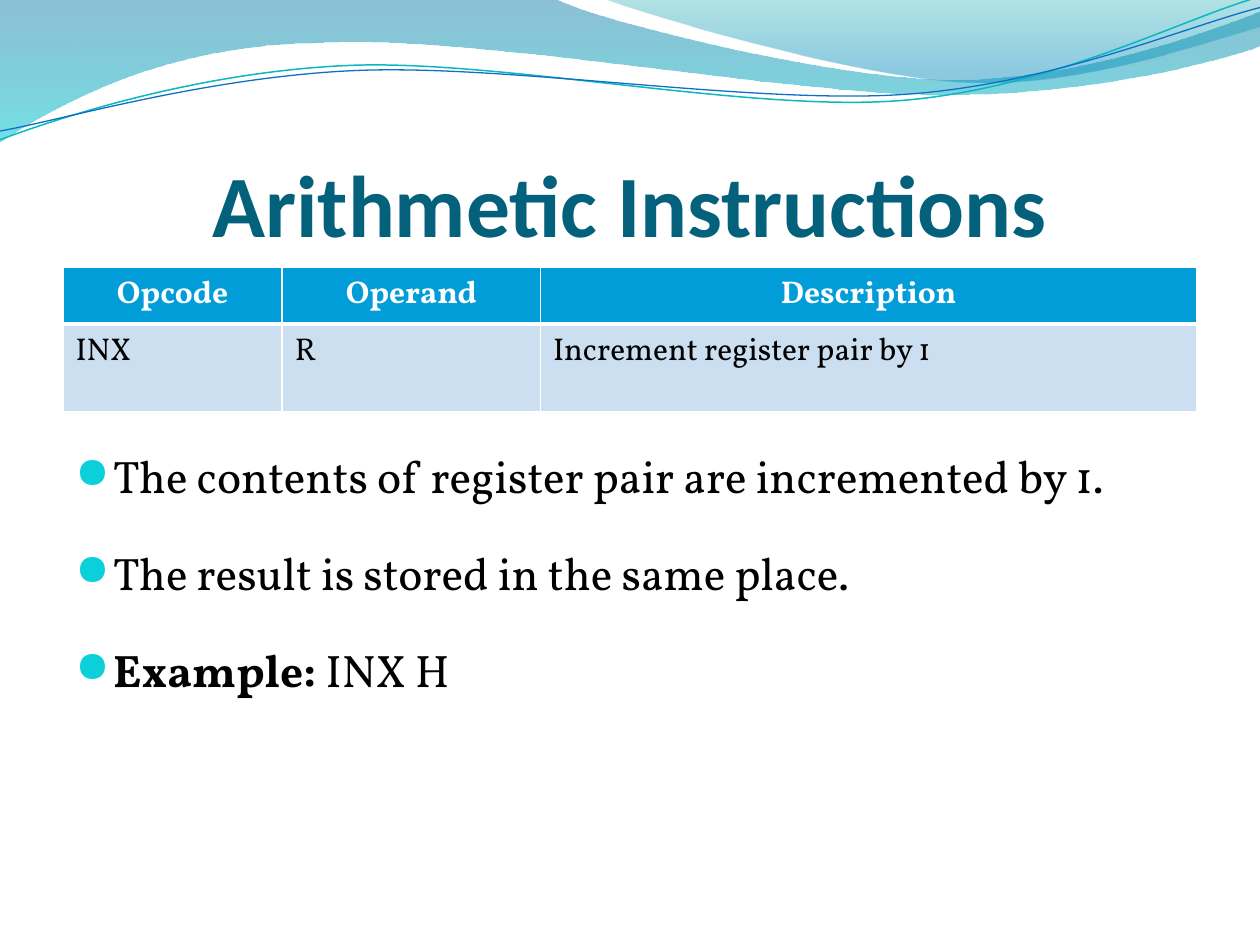
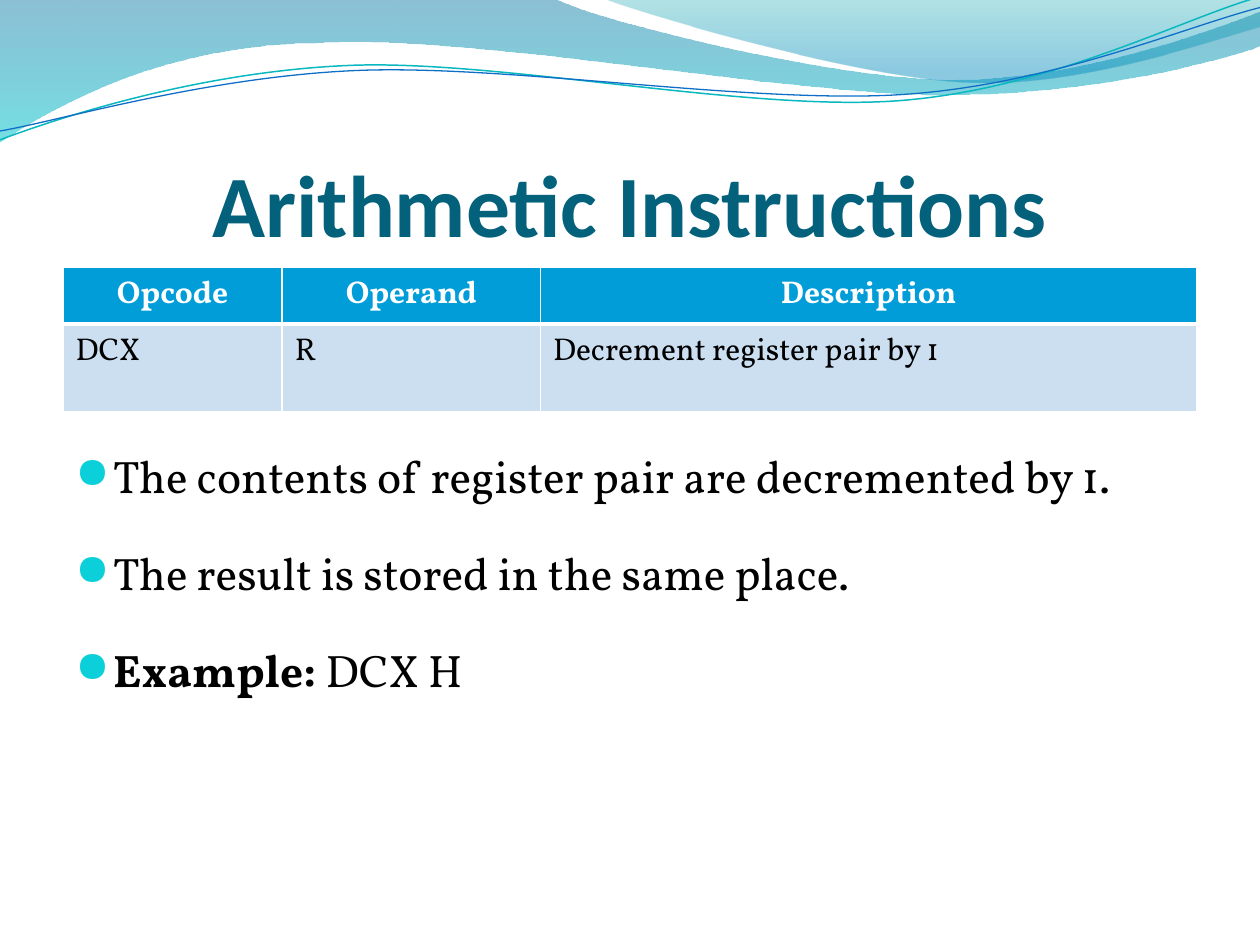
from dataclasses import dataclass

from lxml import etree
from pptx import Presentation
from pptx.dml.color import RGBColor
from pptx.enum import text
from pptx.oxml import ns
from pptx.util import Inches, Pt


@dataclass(frozen=True)
class Theme:
    title_font: str = "Calibri"
    body_font: str = "Vollkorn"
    bullet_font: str = "OpenSymbol"
    title_size: float = 50
    body_size: float = 26
    table_size: float = 18
    title: str = "04617B"
    ink: str = "000000"
    white: str = "FFFFFF"
    header: str = "009DD9"
    row: str = "CCDFF1"
    bullet: str = "0BD0D9"


THEME = Theme()

# Header waves: a start point, then points (2 values) or Bezier curves (6 values), in inches.
# Gradient stops are (position, colour, opacity %), from top to bottom.
WAVE_BANDS = [
    ([(0, -0.01), (4.4, -0.01),
      (4.76, 0.17, 6.64, 0.63, 7.58, 0.63), (8.53, 0.63, 9.58, 0.26, 10, 0.09),
      (10.01, 0.36),
      (9.83, 0.44, 8.7, 0.76, 7.46, 0.75), (6.22, 0.75, 3.82, 0.28, 2.57, 0.34),
      (1.29, 0.35, 0.46, 0.83, -0.01, 1.13), (0, -0.01)],
     [(0, "0074A1", 45), (1, "00C6CF", 55)]),
    ([(4.79, -0.01),
      (5.09, 0.11, 6.82, 0.62, 7.69, 0.65), (8.56, 0.69, 9.61, 0.32, 10, 0.21),
      (10, 0), (4.79, -0.01)],
     [(0, "00A1A9", 30), (0.8, "008BBF", 45)]),
]
WAVE_LINES = [
    ([(0, 1.11), (0.48, 0.93, 1.58, 0.57, 2.77, 0.52),
      (3.95, 0.47, 5.93, 0.89, 7.13, 0.8), (8.33, 0.71, 9.38, 0.15, 9.98, -0.02)],
     "0AB8BF", 0.85),
    ([(0, 1.04), (0.47, 0.96, 1.64, 0.61, 2.83, 0.56),
      (4.03, 0.51, 5.97, 0.83, 7.17, 0.75), (8.36, 0.67, 9.41, 0.21, 10, 0.06)],
     "0F6FC6", 0.75),
]

TITLE = "Arithmetic Instructions"
HEADINGS = ["Opcode", "Operand", "Description"]
# Opcode and the verb that describes it
INSTRUCTIONS = [("INX", "Increment"), ("DCX", "Decrement")]


def rgb(value):
    return RGBColor.from_string(value)


def sub(parent, tag, **attrs):
    return etree.SubElement(parent, ns.qn(tag), attrs)


def style(r, font, size, color, bold=False):
    r.font.name = font
    r.font.size = Pt(size)
    r.font.color.rgb = rgb(color)
    r.font.bold = bold


# Waves
def bend_curves(sp, steps):
    """Join the three line segments of each curve step into one Bezier segment."""
    segments = iter(list(sp._element.iter(ns.qn("a:lnTo"))))
    for step in steps[1:]:
        first = next(segments)
        if len(step) == 6:
            first.tag = ns.qn("a:cubicBezTo")
            for _ in range(2):
                segment = next(segments)
                first.append(segment[0])
                segment.getparent().remove(segment)


def add_outline(s, steps, close):
    points = [(Inches(step[i]), Inches(step[i + 1]))
              for step in steps for i in range(0, len(step), 2)]
    builder = s.shapes.build_freeform(*points[0])
    builder.add_line_segments(points[1:], close=close)
    sp = builder.convert_to_shape()
    bend_curves(sp, steps)
    sp.shadow.inherit = False
    return sp


def add_wave_band(s, steps, stops):
    # The last point returns to the start, so the outline is closed there
    sp = add_outline(s, steps, close=True)
    sp.line.fill.background()
    sp.fill.gradient()
    sp.fill.gradient_angle = 270
    for stop, (position, color, _) in zip(sp.fill.gradient_stops, stops):
        stop.position = position
        stop.color.rgb = rgb(color)
    for gs, (_, _, opacity) in zip(sp._element.iter(ns.qn("a:gs")), stops):
        sub(gs[0], "a:alpha", val=str(opacity * 1000))


def add_wave_line(s, steps, color, width):
    sp = add_outline(s, steps, close=False)
    sp.fill.background()
    sp.line.color.rgb = rgb(color)
    sp.line.width = Pt(width)


def add_waves(s):
    for band in WAVE_BANDS:
        add_wave_band(s, *band)
    for line in WAVE_LINES:
        add_wave_line(s, *line)


# Title
def add_title(s, title):
    tf = s.shapes.add_textbox(Inches(0.5), Inches(0.77), Inches(9), Inches(1.25)).text_frame
    tf.word_wrap = True
    tf.vertical_anchor = text.MSO_ANCHOR.BOTTOM
    tf.margin_left = tf.margin_right = tf.margin_bottom = 0
    tf.text = title
    p = tf.paragraphs[0]
    p.alignment = text.PP_ALIGN.CENTER
    style(p.runs[0], THEME.title_font, THEME.title_size, THEME.title, bold=True)


# Table
def set_borders(cell, top, bottom):
    tc_pr = cell._tc.get_or_add_tcPr()
    for side, width in (("L", 1), ("R", 1), ("T", top), ("B", bottom)):
        ln = sub(tc_pr, f"a:ln{side}", w=str(Pt(width)))
        sub(sub(ln, "a:solidFill"), "a:srgbClr", val=THEME.white)


def fill_cell(cell, value, is_header):
    set_borders(cell, *((1, 3) if is_header else (3, 1)))
    cell.fill.solid()
    cell.fill.fore_color.rgb = rgb(THEME.header if is_header else THEME.row)
    cell.text_frame.text = value
    p = cell.text_frame.paragraphs[0]
    p.alignment = text.PP_ALIGN.CENTER if is_header else text.PP_ALIGN.LEFT
    style(p.runs[0], THEME.body_font, THEME.table_size,
          THEME.white if is_header else THEME.ink, bold=is_header)


def add_opcode_table(s, rows):
    table = s.shapes.add_table(len(rows), len(HEADINGS), Inches(0.5), Inches(2.12),
                               Inches(9), Inches(1.15)).table
    table.horz_banding = False
    for column, width in zip(table.columns, (1.74, 2.05, 5.21)):
        column.width = Inches(width)
    for row, height in zip(table.rows, (0.45, 0.7)):
        row.height = Inches(height)
    for i, values in enumerate(rows):
        for j, value in enumerate(values):
            fill_cell(table.cell(i, j), value, is_header=i == 0)


# Bullets
def add_bullet(p):
    p_pr = p._p.get_or_add_pPr()
    p_pr.set("marL", str(Inches(0.3)))
    p_pr.set("indent", str(Inches(-0.3)))
    sub(sub(p_pr, "a:buClr"), "a:srgbClr", val=THEME.bullet)
    sub(p_pr, "a:buSzPct", val="95000")
    sub(p_pr, "a:buFont", typeface=THEME.bullet_font)
    sub(p_pr, "a:buChar", char="●")
    p.space_after = Pt(24)


def add_bullets(s, items):
    """Each item is a list of (text, bold) runs."""
    tf = s.shapes.add_textbox(Inches(0.5), Inches(3.51), Inches(9), Inches(3.4)).text_frame
    tf.word_wrap = True
    for i, runs in enumerate(items):
        p = tf.add_paragraph() if i else tf.paragraphs[0]
        add_bullet(p)
        for value, bold in runs:
            r = p.add_run()
            r.text = value
            style(r, THEME.body_font, THEME.body_size, THEME.ink, bold)


def add_instruction_slide(prs, opcode, verb):
    s = prs.slides.add_slide(prs.slide_layouts[6])
    add_waves(s)
    add_title(s, TITLE)
    add_opcode_table(s, [HEADINGS, [opcode, "R", f"{verb} register pair by 1"]])
    add_bullets(s, [
        [(f"The contents of register pair are {verb.lower()}ed by 1.", False)],
        [("The result is stored in the same place.", False)],
        [("Example:", True), (f" {opcode} H", False)],
    ])


def main():
    prs = Presentation()
    prs.slide_width, prs.slide_height = Inches(10), Inches(7.5)
    for opcode, verb in INSTRUCTIONS:
        add_instruction_slide(prs, opcode, verb)
    prs.save("out.pptx")


if __name__ == "__main__":
    main()
